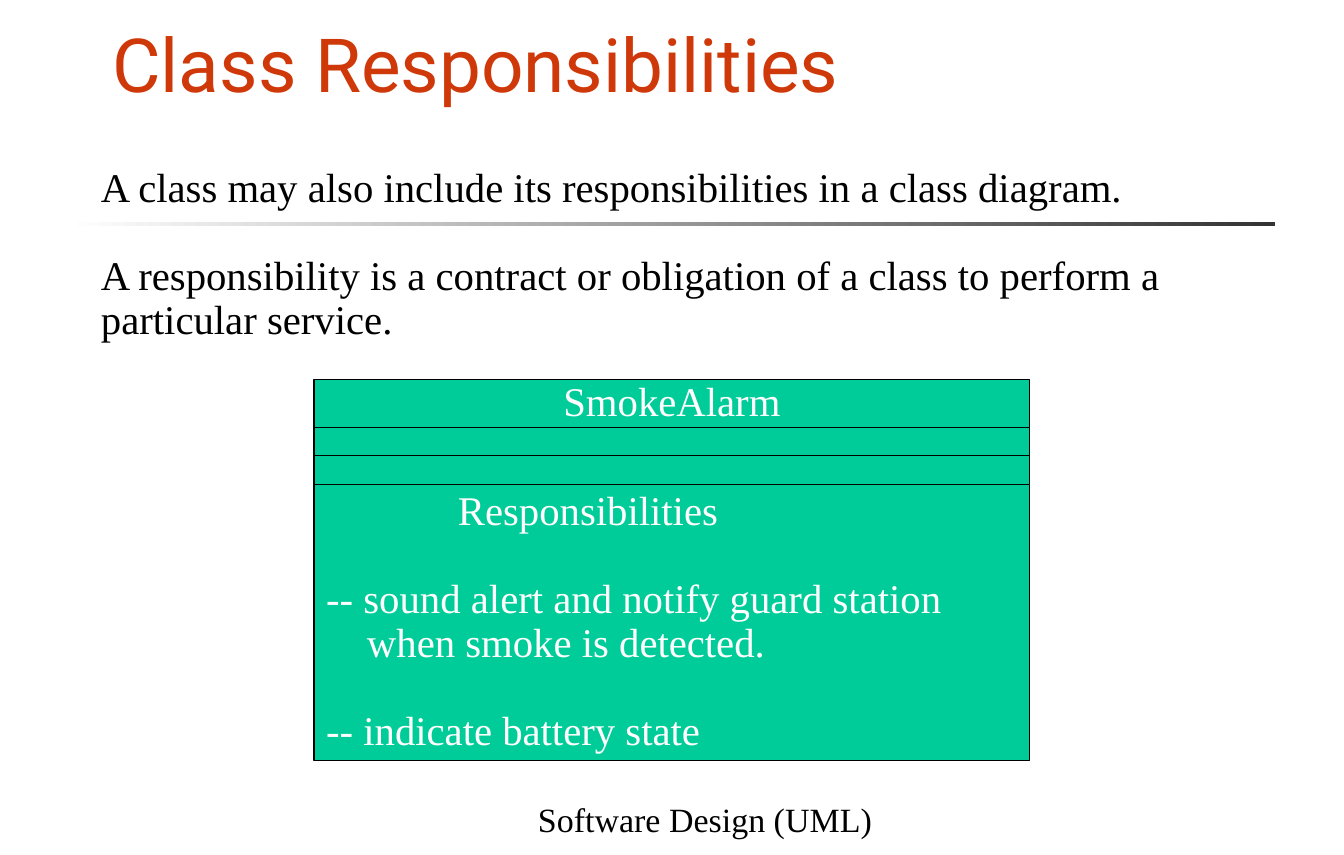
from dataclasses import dataclass

from pptx import Presentation
from pptx.dml.color import RGBColor
from pptx.enum.shapes import MSO_SHAPE as Preset
from pptx.enum.text import MSO_ANCHOR as Anchor, MSO_AUTO_SIZE as AutoSize, PP_ALIGN as Align
from pptx.shapes.group import GroupShape
from pptx.text.text import TextFrame
from pptx.util import Cm, Pt

BLACK = RGBColor(0x00, 0x00, 0x00)
WHITE = RGBColor(0xFF, 0xFF, 0xFF)
GRAY = RGBColor(0x33, 0x33, 0x33)
GREEN = RGBColor(0x00, 0xCC, 0x99)
ORANGE = RGBColor(0xCF, 0x38, 0x09)

SERIF = "Times New Roman"
SANS = "Roboto"
BLANK_LINE = 26

BOX_LEFT, BOX_TOP, BOX_WIDTH = 6.53, 7.9, 14.88


@dataclass(frozen=True)
class Line:
    """A paragraph; margin and first-line indent in cm, space before in points."""
    text: str
    size: int = 24
    font: str = SERIF
    color: RGBColor = BLACK
    align: Align = Align.LEFT
    spacing: float = 0.9
    before: int = 0
    margin: float = 0
    indent: float = 0


@dataclass(frozen=True)
class Compartment:
    height: float
    lines: tuple[Line, ...] = ()


TITLE = Line("Class Responsibilities", 44, SANS, ORANGE, spacing=1.02)
FOOTER = Line("Software Design (UML)", 20, align=Align.CENTER, spacing=1.0)
BODY = (
    Line("A class may also include its responsibilities in a class diagram."),
    Line("A responsibility is a contract or obligation of a class to perform a "
         "particular service.", before=BLANK_LINE),
)
COMPARTMENTS = (
    Compartment(0.99, (Line("SmokeAlarm", color=WHITE, align=Align.CENTER),)),
    Compartment(0.59),
    Compartment(0.59),
    Compartment(5.74, (
        Line("Responsibilities", color=WHITE, margin=2.74),
        Line("-- sound alert and notify guard station when smoke is detected.",
             color=WHITE, before=BLANK_LINE, margin=0.85, indent=-0.85),
        Line("-- indicate battery state", color=WHITE, before=BLANK_LINE),
    )),
)


def write_lines(frame: TextFrame, lines: tuple[Line, ...], anchor: Anchor) -> None:
    frame.word_wrap = True
    frame.auto_size = AutoSize.NONE
    frame.vertical_anchor = anchor
    for index, line in enumerate(lines):
        paragraph = frame.add_paragraph() if index else frame.paragraphs[0]
        paragraph.text = line.text
        paragraph.alignment = line.align
        paragraph.line_spacing = line.spacing
        paragraph.space_before = Pt(line.before)
        paragraph.font.name = line.font
        paragraph.font.size = Pt(line.size)
        paragraph.font.color.rgb = line.color
        properties = paragraph._p.get_or_add_pPr()
        properties.set("marL", str(Cm(line.margin)))
        properties.set("indent", str(Cm(line.indent)))


def add_title(slide) -> None:
    title = slide.shapes.title
    title.left, title.top, title.width, title.height = Cm(2.08), Cm(0.99), Cm(23.98), Cm(1.37)
    write_lines(title.text_frame, (TITLE,), Anchor.BOTTOM)


def add_rule(slide) -> None:
    """Draw the divider that fades in from the left."""
    rule = slide.shapes.add_shape(Preset.RECTANGLE, Cm(1.35), Cm(4.62), Cm(25.15), Cm(0.08))
    rule.shadow.inherit = False
    rule.line.fill.background()
    rule.fill.gradient()
    rule.fill.gradient_angle = 0
    for stop, color in zip(rule.fill.gradient_stops, (WHITE, GRAY)):
        stop.color.rgb = color
    for stop, position in zip(rule.fill.gradient_stops, (0, 1)):
        stop.position = position


def add_text(slide, left: float, top: float, width: float, height: float,
             lines: tuple[Line, ...], anchor: Anchor) -> None:
    box = slide.shapes.add_textbox(Cm(left), Cm(top), Cm(width), Cm(height))
    write_lines(box.text_frame, lines, anchor)


def add_compartment(group: GroupShape, top: float, compartment: Compartment) -> None:
    box = group.shapes.add_shape(Preset.RECTANGLE, Cm(BOX_LEFT), Cm(top),
                                 Cm(BOX_WIDTH), Cm(compartment.height))
    box.shadow.inherit = False
    box.fill.solid()
    box.fill.fore_color.rgb = GREEN
    box.line.color.rgb = BLACK
    box.line.width = Pt(0.75)
    write_lines(box.text_frame, compartment.lines, Anchor.MIDDLE)


def add_class_box(slide) -> None:
    group = slide.shapes.add_group_shape()
    top = BOX_TOP
    for compartment in COMPARTMENTS:
        add_compartment(group, top, compartment)
        top += compartment.height


def main() -> None:
    presentation = Presentation()
    presentation.slide_width, presentation.slide_height = Cm(27.94), Cm(17.78)
    slide = presentation.slides.add_slide(presentation.slide_layouts.get_by_name("Title Only"))
    add_rule(slide)
    add_title(slide)
    add_text(slide, 1.85, 3.35, 24.46, 3.91, BODY, Anchor.TOP)
    add_class_box(slide)
    add_text(slide, 10.24, 16.38, 8.84, 1.19, (FOOTER,), Anchor.BOTTOM)
    presentation.save("out.pptx")


if __name__ == "__main__":
    main()
